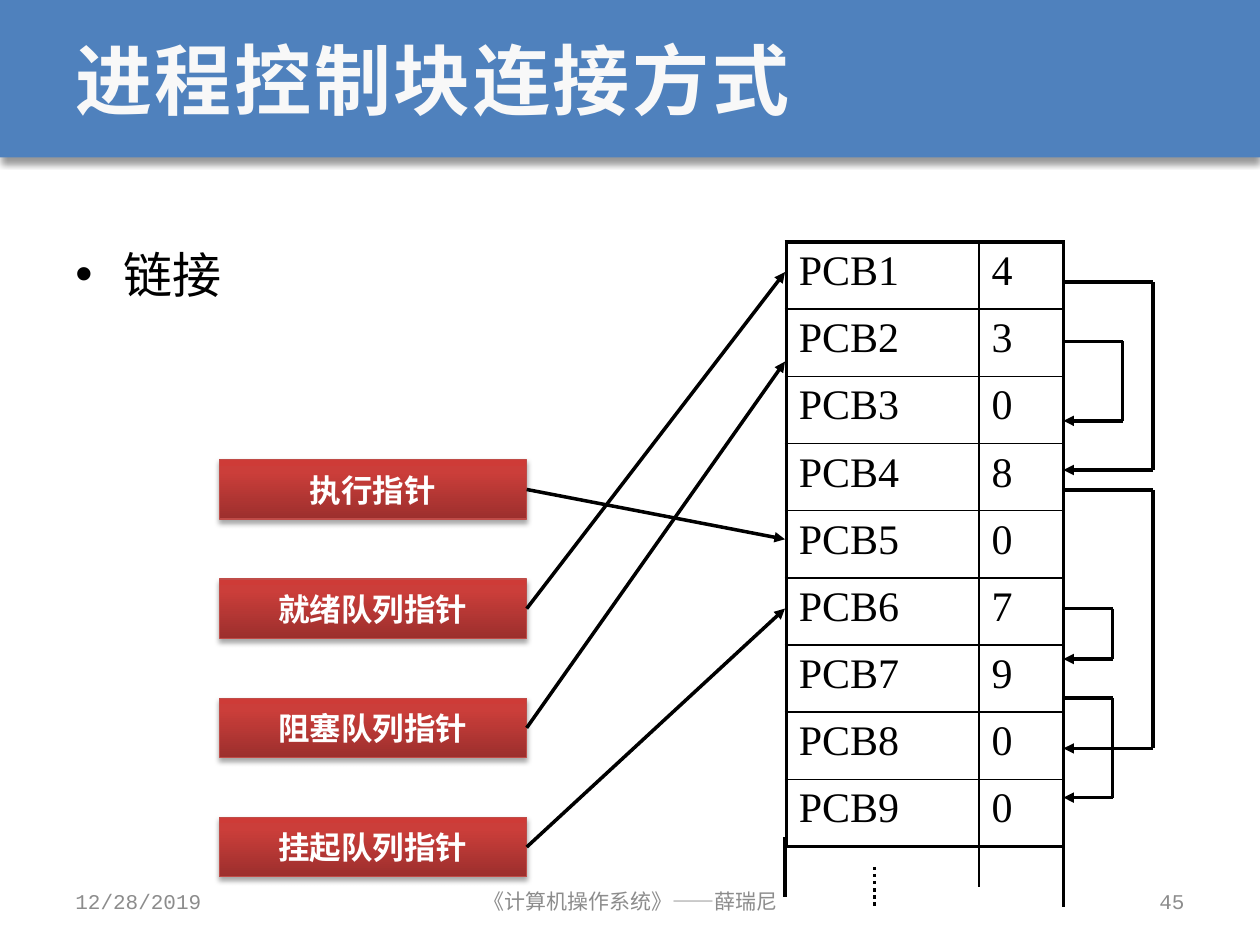
"""Builds the slide on linking process control blocks through pointer queues."""
from lxml.etree import SubElement
from pptx import Presentation
from pptx.dml.color import RGBColor
from pptx.enum.dml import MSO_LINE
from pptx.enum.shapes import MSO_CONNECTOR, MSO_SHAPE
from pptx.enum.text import MSO_ANCHOR as Anchor, PP_ALIGN as Align
from pptx.oxml import parse_xml
from pptx.oxml.ns import nsdecls, qn
from pptx.util import Inches, Pt

BLUE = RGBColor(0x4F, 0x81, 0xBD)
RED_EDGE = RGBColor(0xBF, 0x4C, 0x48)
BLACK = RGBColor(0, 0, 0)
WHITE = RGBColor(255, 255, 255)
OFF_WHITE = RGBColor(0xF8, 0xF8, 0xF8)
GRAY = RGBColor(0x8C, 0x8C, 0x8C)
RED_STOPS = ((0, "9C2F2D"), (80, "CB3E3A"), (100, "CE3B37"))

MONO, SANS, SERIF = "Courier New", "Arial", "Times New Roman"
TABLE_LEFT, TABLE_RIGHT = 6.23, 8.44
POINTERS = (
    ("执行指针", 4.28),
    ("就绪队列指针", 2.16),
    ("阻塞队列指针", 2.87),
    ("挂起队列指针", 4.83),
)
NEXT_BLOCKS = (4, 3, 0, 8, 0, 7, 9, 0, 0)
LINKS = (
    (2.24, 3.73, 9.15),
    (2.71, 3.34, 8.91),
    (3.89, 5.94, 9.15),
    (4.83, 5.23, 8.83),
    (5.54, 6.33, 8.83),
)
TABLE_TAILS = (
    (TABLE_LEFT, 6.64, 7.12, 2, None),
    (7.77, 6.64, 7.04, 0.75, None),
    (TABLE_RIGHT, 6.64, 7.2, 2, None),
    (6.94, 6.88, 7.2, 2, MSO_LINE.ROUND_DOT),
)


def write(frame, text, size, font=MONO, color=BLACK, bold=False, align=Align.LEFT,
          anchor=Anchor.MIDDLE, wrap=True, tracking=None, bullet=False):
    frame.word_wrap = wrap
    frame.vertical_anchor = anchor
    paragraph = frame.paragraphs[0]
    paragraph.alignment = align
    if bullet:
        paragraph.line_spacing = 1.3
        props = paragraph._p.get_or_add_pPr()
        props.set("marL", str(Inches(0.38)))
        props.set("indent", str(-Inches(0.38)))
        SubElement(props, qn("a:buFont"), typeface="Arial")
        SubElement(props, qn("a:buChar"), char="•")
    run = paragraph.add_run()
    run.text = text
    run.font.size = Pt(size)
    run.font.name = font
    run.font.bold = bold
    run.font.color.rgb = color
    if tracking:
        run._r.get_or_add_rPr().set("spc", str(int(tracking * 100)))


def add_text(slide, box, text, size, **style):
    frame = slide.shapes.add_textbox(*map(Inches, box)).text_frame
    write(frame, text, size, **style)


def add_bar(slide, box):
    bar = slide.shapes.add_shape(MSO_SHAPE.RECTANGLE, *map(Inches, box))
    bar.shadow.inherit = False
    return bar


def add_shadow(shape, opacity, blur, distance):
    effects = shape._element.spPr.find(qn("a:effectLst"))
    shadow = SubElement(effects, qn("a:outerShdw"), blurRad=str(Pt(blur)),
                        dist=str(Pt(distance)), dir="5400000", rotWithShape="0")
    black = SubElement(shadow, qn("a:srgbClr"), val="000000")
    SubElement(black, qn("a:alpha"), val=str(opacity * 1000))


def add_header(slide):
    header = add_bar(slide, (0, 0, 10, 1.25))
    header.fill.solid()
    header.fill.fore_color.rgb = BLUE
    header.line.fill.background()
    add_shadow(header, 40, 4, 3)


def add_pointer(slide, top, label):
    pointer = add_bar(slide, (1.74, top, 2.44, 0.47))
    stops = "".join(f'<a:gs pos="{pos * 1000}"><a:srgbClr val="{color}"/></a:gs>'
                    for pos, color in RED_STOPS)
    gradient = parse_xml(f'<a:gradFill {nsdecls("a")}><a:gsLst>{stops}</a:gsLst>'
                         '<a:lin ang="16200000" scaled="0"/></a:gradFill>')
    pointer._element.spPr.find(qn("a:prstGeom")).addnext(gradient)
    pointer.line.color.rgb = RED_EDGE
    pointer.line.width = Pt(0.75)
    add_shadow(pointer, 35, 3.1, 1.8)
    write(pointer.text_frame, label, 18, font=SANS, color=WHITE, bold=True,
          align=Align.CENTER, wrap=False)
    return pointer


def add_line(slide, start, end, width=2, dash=None, arrow=False):
    line = slide.shapes.add_connector(MSO_CONNECTOR.STRAIGHT, *map(Inches, start + end))
    line.line.color.rgb = BLACK
    line.line.width = Pt(width)
    if dash:
        line.line.dash_style = dash
    if arrow:
        SubElement(line.line._get_or_add_ln(), qn("a:tailEnd"), type="triangle")
    SubElement(line._element.spPr, qn("a:effectLst"))
    return line


def add_link(slide, start, end, reach):
    add_line(slide, (TABLE_RIGHT, start), (reach, start))
    add_line(slide, (reach, start), (reach, end))
    add_line(slide, (reach, end), (TABLE_RIGHT, end), arrow=True)


def set_borders(cell, **widths):
    props = cell._tc.get_or_add_tcPr()
    for side in "LRTB":
        border = SubElement(props, qn(f"a:ln{side}"), w=str(Pt(widths[side])))
        SubElement(SubElement(border, qn("a:solidFill")), qn("a:srgbClr"), val="000000")


def add_block_table(slide):
    count = len(NEXT_BLOCKS)
    table = slide.shapes.add_table(count, 2, Inches(6.24), Inches(1.92),
                                   Inches(2.2), Inches(4.8)).table
    table.first_row = table.horz_banding = False
    table.columns[0].width, table.columns[1].width = Inches(1.53), Inches(0.67)
    for row, following in enumerate(NEXT_BLOCKS):
        for col, text in enumerate((f"PCB{row + 1}", str(following))):
            cell = table.cell(row, col)
            set_borders(cell, L=1 if col else 2.25, R=2.25 if col else 1,
                        T=1 if row else 2.25, B=2.25 if row == count - 1 else 1)
            cell.fill.background()
            write(cell.text_frame, text, 24, font=SERIF, anchor=Anchor.TOP)


def main():
    deck = Presentation()
    deck.slide_width, deck.slide_height = Inches(10), Inches(7.5)
    slide = deck.slides.add_slide(deck.slide_layouts[6])
    add_header(slide)
    add_text(slide, (0.5, 0, 9, 1.25), "进程控制块连接方式", 44, color=OFF_WHITE,
             bold=True, tracking=1.5)
    add_text(slide, (0.5, 1.75, 4.42, 4.95), "链接", 28, anchor=Anchor.TOP, bullet=True)
    pointers = [add_pointer(slide, 3.65 + 0.946 * i, label)
                for i, (label, _) in enumerate(POINTERS)]
    add_block_table(slide)
    for link in LINKS:
        add_link(slide, *link)
    for x, top, bottom, width, dash in TABLE_TAILS:
        add_line(slide, (x, top), (x, bottom), width, dash)
    for pointer, (_, target) in zip(pointers, POINTERS):
        arrow = add_line(slide, (4.18, target), (TABLE_LEFT, target), arrow=True)
        arrow.begin_connect(pointer, 3)
    footers = (
        (0.5, 2.33, "12/28/2019", Align.LEFT),
        (3.42, 3.17, "《计算机操作系统》——薛瑞尼", Align.CENTER),
        (7.17, 2.33, "45", Align.RIGHT),
    )
    for left, width, text, align in footers:
        add_text(slide, (left, 6.95, width, 0.4), text, 12, color=GRAY, align=align)
    deck.save("out.pptx")


if __name__ == "__main__":
    main()
